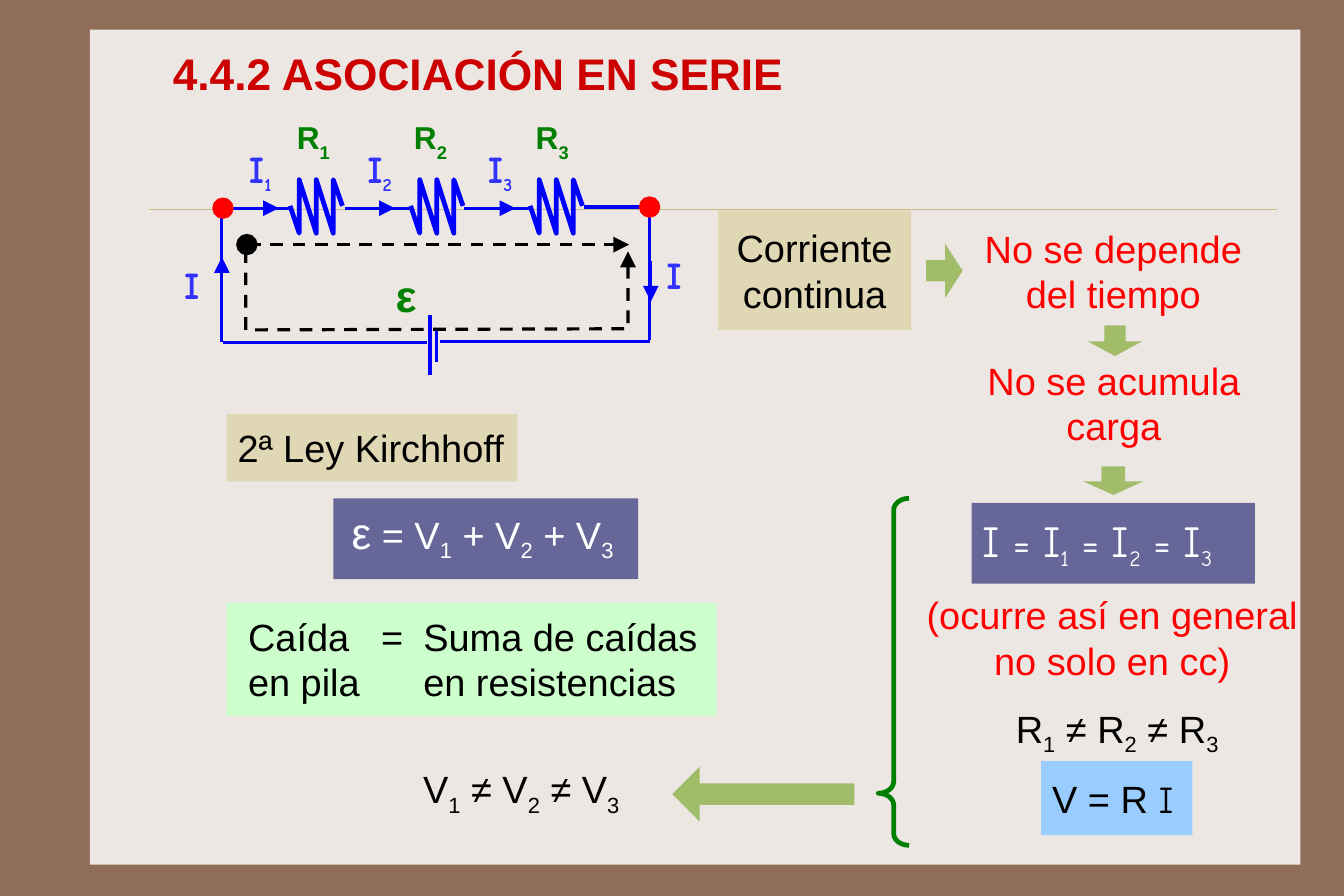
from dataclasses import dataclass
from typing import Optional, Union

import pptx
import pptx.dml.color
import pptx.enum.dml
import pptx.enum.shapes
import pptx.enum.text
import pptx.oxml.ns
import pptx.util
from lxml import etree

PX = 9144
SLIDE_WIDTH = pptx.util.Pt(850.5)
SLIDE_HEIGHT = pptx.util.Pt(567)
COLORS = {
    "frame": "906D58", "paper": "EDE7E3", "rule": "CBBD83", "wire": "0000FF",
    "current": "3333FF", "green": "008000", "title": "CC0000", "red": "FF0000",
    "black": "000000", "white": "FFFFFF", "arrow": "A1BD69", "sand": "E0D7B5",
    "slate": "666699", "mint": "CCFFCC", "sky": "99CCFF",
}
SYMBOL_FONT = "Comic Neue"
SHAPES = pptx.enum.shapes.MSO_SHAPE
ANCHOR = pptx.enum.text.MSO_ANCHOR
ALIGN = pptx.enum.text.PP_ALIGN
INSETS = (10, 9, 10, 9)
DEFAULT_INSETS = (10, 5, 10, 5)
Box = tuple[int, int, int, int]
Point = tuple[int, int]


@dataclass(frozen=True)
class Run:
    text: str
    size: Optional[int] = None
    font: Optional[str] = None
    subscript: bool = False


@dataclass(frozen=True)
class Wire:
    start: Point
    end: Point
    width: float = 2
    color: str = "wire"
    arrow: bool = False
    dashed: bool = False


@dataclass(frozen=True)
class Resistor:
    number: int
    left: int
    label_left: int
    current_left: int


@dataclass(frozen=True)
class Figure:
    kind: pptx.enum.shapes.MSO_SHAPE
    box: Box
    fill: str
    adjustments: tuple[float, ...] = ()


WIRES = [
    Wire((131, 184), (1122, 184), 0.25, "rule"),
    Wire((384, 289), (384, 318)), Wire((378, 277), (378, 330)),
    Wire((571, 300), (387, 300)), Wire((375, 301), (196, 301)),
    Wire((195, 183), (195, 301)), Wire((571, 181), (571, 299)),
    Wire((195, 183), (254, 183)), Wire((303, 183), (362, 183)),
    Wire((408, 183), (467, 183)), Wire((513, 182), (572, 182)),
    Wire((208, 183), (245, 183), 1, arrow=True),
    Wire((311, 183), (347, 183), 1, arrow=True),
    Wire((416, 183), (453, 183), 1, arrow=True),
    Wire((572, 229), (572, 265), 1, arrow=True),
    Wire((195, 262), (195, 226), 1, arrow=True),
    Wire((218, 215), (553, 215), color="black", arrow=True, dashed=True),
]
RESISTORS = [
    Resistor(1, 255, 251, 209),
    Resistor(2, 361, 354, 313),
    Resistor(3, 466, 461, 419),
]
FIGURES = [
    Figure(SHAPES.RIGHT_ARROW, (814, 214, 32, 48), "arrow", (0.39, 0.48)),
    Figure(SHAPES.DOWN_ARROW, (956, 286, 48, 27), "arrow", (0.39, 0.48)),
    Figure(SHAPES.DOWN_ARROW, (952, 410, 53, 25), "arrow", (0.39, 0.48)),
    Figure(SHAPES.LEFT_ARROW, (591, 674, 160, 48), "arrow", (0.39, 0.5)),
    Figure(SHAPES.OVAL, (563, 174, 16, 16), "red"),
    Figure(SHAPES.OVAL, (188, 175, 16, 16), "red"),
    Figure(SHAPES.OVAL, (209, 207, 16, 16), "black"),
]


def rgb(name: str) -> pptx.dml.color.RGBColor:
    return pptx.dml.color.RGBColor.from_string(COLORS[name])


def style_line(shape, color: str, width: float, arrow: bool = False, dashed: bool = False) -> None:
    shape.line.color.rgb = rgb(color)
    shape.line.width = pptx.util.Pt(width)
    if dashed:
        shape.line.dash_style = pptx.enum.dml.MSO_LINE.DASH
    line = shape.line._get_or_add_ln()
    etree.SubElement(line, pptx.oxml.ns.qn("a:round"))
    if arrow:
        etree.SubElement(line, pptx.oxml.ns.qn("a:tailEnd"), type="triangle", w="lg", len="lg")


def add_wire(slide, wire: Wire) -> None:
    ends = [value * PX for value in wire.start + wire.end]
    connector = slide.shapes.add_connector(pptx.enum.shapes.MSO_CONNECTOR.STRAIGHT, *ends)
    style_line(connector, wire.color, wire.width, wire.arrow, wire.dashed)
    etree.SubElement(connector._element.spPr, pptx.oxml.ns.qn("a:effectLst"))


def add_polyline(slide, points: list[Point], color: str, width: float, **line_format: bool) -> None:
    builder = slide.shapes.build_freeform(*points[0], scale=PX)
    builder.add_line_segments(points[1:], close=False)
    shape = builder.convert_to_shape()
    shape.shadow.inherit = False
    shape.fill.background()
    style_line(shape, color, width, **line_format)


def add_figure(slide, figure: Figure):
    shape = slide.shapes.add_shape(figure.kind, *[value * PX for value in figure.box])
    shape.shadow.inherit = False
    shape.fill.solid()
    shape.fill.fore_color.rgb = rgb(figure.fill)
    shape.line.fill.background()
    for index, value in enumerate(figure.adjustments):
        shape.adjustments[index] = value
    if figure.kind == SHAPES.OVAL:
        style_line(shape, figure.fill, 2)
    return shape


def indexed(text: str) -> list[Run]:
    return [Run(part, subscript=index % 2 == 1) for index, part in enumerate(text.split("|")) if part]


def add_text(slide, box: Box, *lines: Union[str, list[Run]], size: int = 24,
             font: str = "Arial", color: str = "black", bold: bool = False,
             fill: Optional[str] = None, align=ALIGN.LEFT, anchor=ANCHOR.TOP,
             insets: Box = INSETS, wrap: bool = False, grow: bool = True,
             baseline: int = -25, tabs: tuple[int, ...] = ()) -> None:
    if fill:
        shape = add_figure(slide, Figure(SHAPES.RECTANGLE, box, fill))
    else:
        shape = slide.shapes.add_textbox(*[value * PX for value in box])
    frame = shape.text_frame
    frame.word_wrap = wrap
    sizing = pptx.enum.text.MSO_AUTO_SIZE
    frame.auto_size = sizing.SHAPE_TO_FIT_TEXT if grow else sizing.NONE
    frame.vertical_anchor = anchor
    frame.margin_left, frame.margin_top, frame.margin_right, frame.margin_bottom = [
        value * PX for value in insets]
    for index, line in enumerate(lines):
        paragraph = frame.add_paragraph() if index else frame.paragraphs[0]
        paragraph.alignment = align
        if tabs:
            tab_list = etree.SubElement(
                paragraph._p.get_or_add_pPr(), pptx.oxml.ns.qn("a:tabLst"))
            for position in tabs:
                etree.SubElement(
                    tab_list, pptx.oxml.ns.qn("a:tab"), pos=str(position * PX), algn="l")
        for part in [Run(line)] if isinstance(line, str) else line:
            run = paragraph.add_run()
            run.text = part.text
            run.font.size = pptx.util.Pt(part.size or size)
            run.font.name = part.font or font
            run.font.bold = bold
            run.font.color.rgb = rgb(color)
            if part.subscript:
                run._r.get_or_add_rPr().set("baseline", str(baseline * 1000))


def add_resistor(slide, resistor: Resistor) -> None:
    teeth = [(resistor.left + 8 + 15 * tooth, y) for tooth in range(3) for y in (205, 158)]
    points = [(resistor.left, 181), *teeth, (resistor.left + 46, 181)]
    add_polyline(slide, points, "wire", 3)
    number = str(resistor.number)
    add_text(slide, (resistor.label_left, 99, 55, 57), indexed(f"R|{number}"), size=20,
             color="green", bold=True, insets=DEFAULT_INSETS, grow=False, baseline=-30)
    add_text(slide, (resistor.current_left, 119, 43, 58),
             [Run("I"), Run(number, size=20, subscript=True)],
             font=SYMBOL_FONT, color="current", bold=True, grow=False)


def add_circuit(slide) -> None:
    for wire in WIRES:
        add_wire(slide, wire)
    for resistor in RESISTORS:
        add_resistor(slide, resistor)
    add_polyline(slide, [(216, 220), (216, 290), (552, 289), (552, 221)], "black", 2,
                 arrow=True, dashed=True)
    add_text(slide, (338, 239, 37, 40), "ε", size=28, color="green", bold=True,
             anchor=ANCHOR.MIDDLE, insets=DEFAULT_INSETS, grow=False)
    for left, top in [(152, 221), (576, 212)]:
        add_text(slide, (left, top, 33, 58), "I", font=SYMBOL_FONT, color="current",
                 bold=True, grow=False)


def add_statements(slide) -> None:
    add_text(slide, (141, 35, 932, 58), "4.4.2 ASOCIACIÓN EN SERIE", size=28, color="title",
             bold=True, anchor=ANCHOR.MIDDLE, insets=(11, 5, 11, 5), wrap=True)
    add_text(slide, (631, 185, 170, 105), "Corriente continua", fill="sand", align=ALIGN.CENTER,
             anchor=ANCHOR.MIDDLE, insets=(8, 12, 8, 12), wrap=True)
    for box, text in [
        ((848, 189, 261, 99), "No se depende del tiempo"),
        ((857, 305, 244, 99), "No se acumula carga"),
        ((802, 511, 351, 99), "(ocurre así en general no solo en cc)"),
    ]:
        add_text(slide, box, text, color="red", align=ALIGN.CENTER, wrap=True)
    add_text(slide, (199, 364, 256, 59), "2ª Ley Kirchhoff", fill="sand")
    add_text(slide, (293, 438, 268, 71), [Run("ε", size=28), *indexed(" = V|1| + V|2| + V|3")],
             color="white", fill="slate", anchor=ANCHOR.MIDDLE, insets=(16, 8, 16, 16))
    add_text(slide, (199, 530, 431, 99), "Caída\t=\tSuma de caídas", "en pila\t\ten resistencias",
             fill="mint", insets=(19, 9, 10, 9), wrap=True, tabs=(117, 154))
    currents = [Run("I", size=28)]
    for resistor in RESISTORS:
        currents += [Run(" = "), Run("I", size=28), Run(str(resistor.number), subscript=True)]
    add_text(slide, (854, 442, 249, 71), currents, font=SYMBOL_FONT, color="white",
             fill="slate", grow=False)
    add_text(slide, (883, 611, 202, 58), indexed("R|1| ≠ R|2| ≠ R|3"))
    add_text(slide, (362, 664, 197, 58), indexed("V|1| ≠ V|2| ≠ V|3"))
    add_text(slide, (915, 669, 133, 65), [Run("V = R "), Run("I", font=SYMBOL_FONT)],
             fill="sky", anchor=ANCHOR.MIDDLE)


def main() -> None:
    presentation = pptx.Presentation()
    presentation.slide_width, presentation.slide_height = SLIDE_WIDTH, SLIDE_HEIGHT
    slide = presentation.slides.add_slide(presentation.slide_layouts[6])
    slide.background.fill.solid()
    slide.background.fill.fore_color.rgb = rgb("frame")
    add_figure(slide, Figure(SHAPES.RECTANGLE, (79, 26, 1064, 734), "paper"))
    add_circuit(slide)
    for figure in FIGURES:
        add_figure(slide, figure)
    brace = add_figure(
        slide, Figure(SHAPES.LEFT_BRACE, (772, 438, 27, 305), "paper", (0.38, 0.85)))
    brace.fill.background()
    style_line(brace, "green", 3)
    add_statements(slide)
    presentation.save("out.pptx")


if __name__ == "__main__":
    main()
